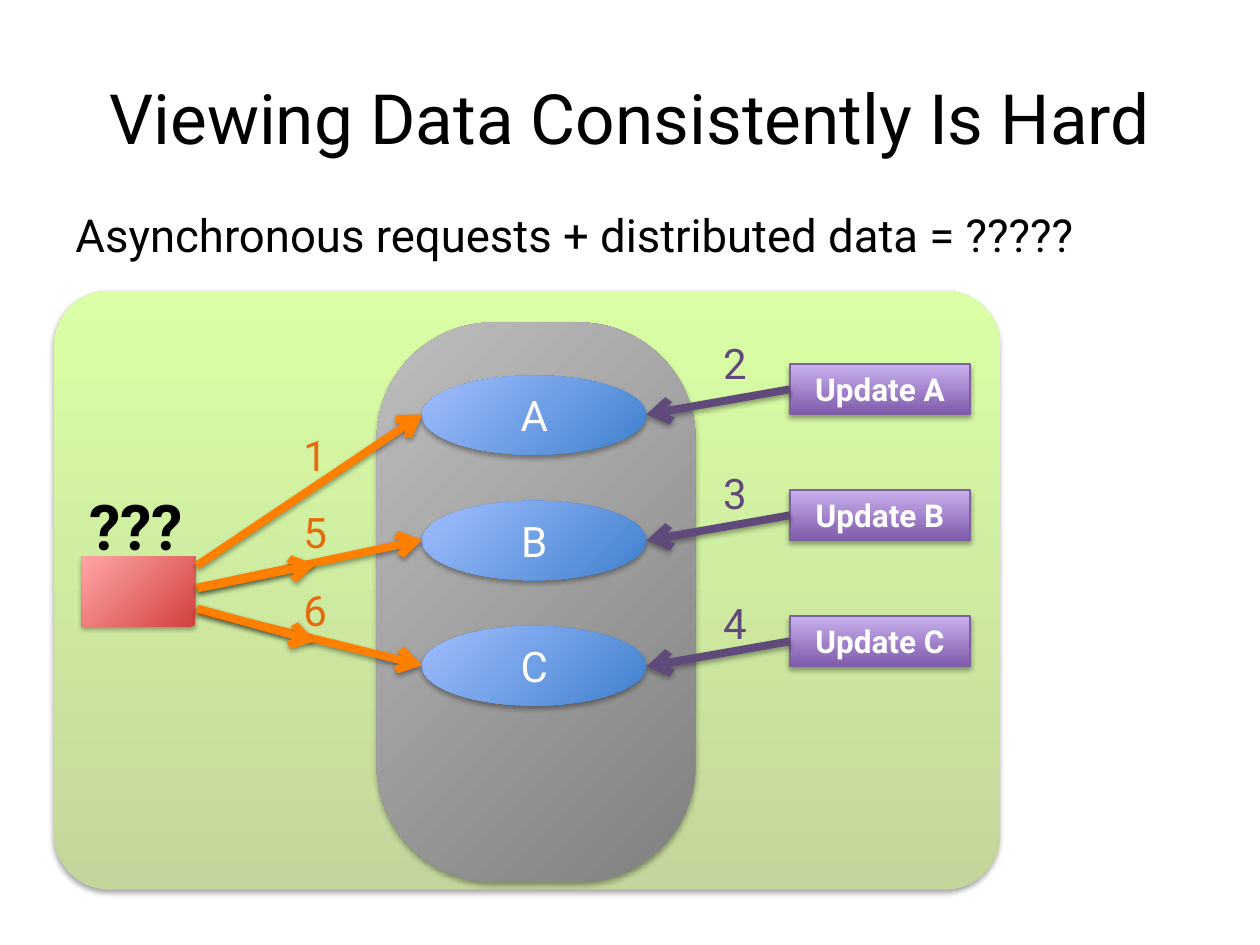
from lxml import etree
from pptx import Presentation
from pptx import util as u
from pptx.dml.color import RGBColor
from pptx.enum import shapes, text
from pptx.oxml.ns import qn

FONT = "Roboto"
COLORS = {
    "black": "000000", "white": "FFFFFF",
    "orange": "FF8000", "request": "E46C0A",
    "update": "604A7B", "outline": "7D60A0",
}
# Start colour, end colour, angle (counter-clockwise)
GRADIENTS = {
    "green": ("C3D69B", "DAFFA5", 90),
    "gray": ("808080", "BDBDBD", 135),
    "blue": ("3F80CD", "A1BEFF", 135),
    "red": ("D1403C", "FFA6A5", 135),
    "purple": ("7F5BAB", "C8B0ED", 90),
}
KIND = shapes.MSO_SHAPE
CENTER = text.PP_ALIGN.CENTER
MIDDLE = text.MSO_ANCHOR.MIDDLE


def rgb(name):
    return RGBColor.from_string(COLORS[name])


def write(frame, words, size, color, align=text.PP_ALIGN.LEFT, bold=False):
    para = frame.paragraphs[0]
    para.alignment = align
    span = para.add_run()
    span.text = words
    for key, value in {"name": FONT, "size": u.Pt(size), "bold": bold}.items():
        setattr(span.font, key, value)
    span.font.color.rgb = rgb(color)


def add_shadow(item, opacity=35, distance=1.8):
    props = item._element.spPr
    effects = props.find(qn("a:effectLst"))
    if effects is None:
        effects = etree.SubElement(props, qn("a:effectLst"))
    shadow = etree.SubElement(
        effects, qn("a:outerShdw"), blurRad=str(u.Pt(3.1)),
        dist=str(u.Pt(distance)), dir="5400000", rotWithShape="0")
    tint = etree.SubElement(shadow, qn("a:srgbClr"), val=COLORS["black"])
    etree.SubElement(tint, qn("a:alpha"), val=str(opacity * 1000))


def add_block(page, kind, place, gradient, corner=None, outline=None):
    block = page.shapes.add_shape(kind, *map(u.Inches, place))
    if corner is not None:
        block.adjustments[0] = corner
    start, end, angle = GRADIENTS[gradient]
    block.fill.gradient()
    block.fill.gradient_angle = angle
    for stop, color in zip(block.fill.gradient_stops, (start, end)):
        stop.color.rgb = RGBColor.from_string(color)
    if outline:
        block.line.color.rgb = rgb(outline)
        block.line.width = u.Pt(0.75)
    else:
        block.line.fill.background()
    block.shadow.inherit = False
    add_shadow(block)
    block.text_frame.vertical_anchor = MIDDLE
    return block


def add_label(page, place, words, size, color, bold=False, wrap=False):
    box = page.shapes.add_textbox(*map(u.Inches, place))
    box.text_frame.word_wrap = wrap
    write(box.text_frame, words, size, color, bold=bold)


def add_arrow(page, tip, tail, color, opacity=35, distance=1.8):
    arrow = page.shapes.add_connector(
        shapes.MSO_CONNECTOR.STRAIGHT, *map(u.Inches, (*tip, *tail)))
    arrow.line.color.rgb = rgb(color)
    arrow.line.width = u.Pt(4.5)
    etree.SubElement(arrow.line._get_or_add_ln(), qn("a:headEnd"), type="arrow")
    add_shadow(arrow, opacity, distance)


def add_request(page, tip, tail):
    add_arrow(page, tip, tail, "orange", 38, 1.6)


def main():
    deck = Presentation()
    deck.slide_width, deck.slide_height = u.Inches(10), u.Inches(7.5)
    page = deck.slides.add_slide(deck.slide_layouts[5])

    # Title and statement
    title = page.shapes.title
    place = {"left": 0.5, "top": 0.3, "width": 9, "height": 1.25}
    for key, value in place.items():
        setattr(title, key, u.Inches(value))
    title.text_frame.vertical_anchor = MIDDLE
    write(title.text_frame, "Viewing Data Consistently Is Hard", 39.6, "black", CENTER)
    add_label(page, (0.5, 1.59, 9.02, 0.54),
              "Asynchronous requests + distributed data = ?????", 26, "black", wrap=True)

    # System, data store and client
    add_block(page, KIND.ROUNDED_RECTANGLE, (0.43, 2.31, 7.51, 4.75), "green", 0.092)
    add_block(page, KIND.ROUNDED_RECTANGLE, (2.99, 2.56, 2.53, 4.44), "gray", 0.365)
    for row, name in enumerate("ABC"):
        item = add_block(page, KIND.OVAL, (3.35, 2.98 + 0.995 * row, 1.78, 0.63), "blue")
        write(item.text_frame, name, 24, "white", CENTER)
    add_block(page, KIND.RECTANGLE, (0.65, 4.42, 0.9, 0.55), "red")

    # Requests from the client
    for row, number in enumerate("156"):
        add_request(page, (3.35, 3.29 + 0.995 * row), (1.56, 4.49 + 0.175 * row))
        add_label(page, (2.31, 3.36 + 0.615 * row, 0.39, 0.5), number, 24, "request")

    # Updates to the data
    for row, name in enumerate("ABC"):
        block = add_block(page, KIND.RECTANGLE, (6.27, 2.89 + row, 1.43, 0.4),
                          "purple", outline="outline")
        write(block.text_frame, f"Update {name}", 18, "white", CENTER, True)
        add_arrow(page, (5.13, 3.29 + row), (6.27, 3.09 + row), "update")
        add_label(page, (5.64, 2.63 + 1.03 * row, 0.39, 0.5), str(row + 2), 24, "update")

    # Requests still under way
    add_request(page, (2.5, 4.48), (1.57, 4.67))
    add_request(page, (2.5, 5.09), (1.57, 4.83))
    add_label(page, (0.61, 3.82, 1.04, 0.71), "???", 36, "black", bold=True)

    deck.save("out.pptx")


main()
